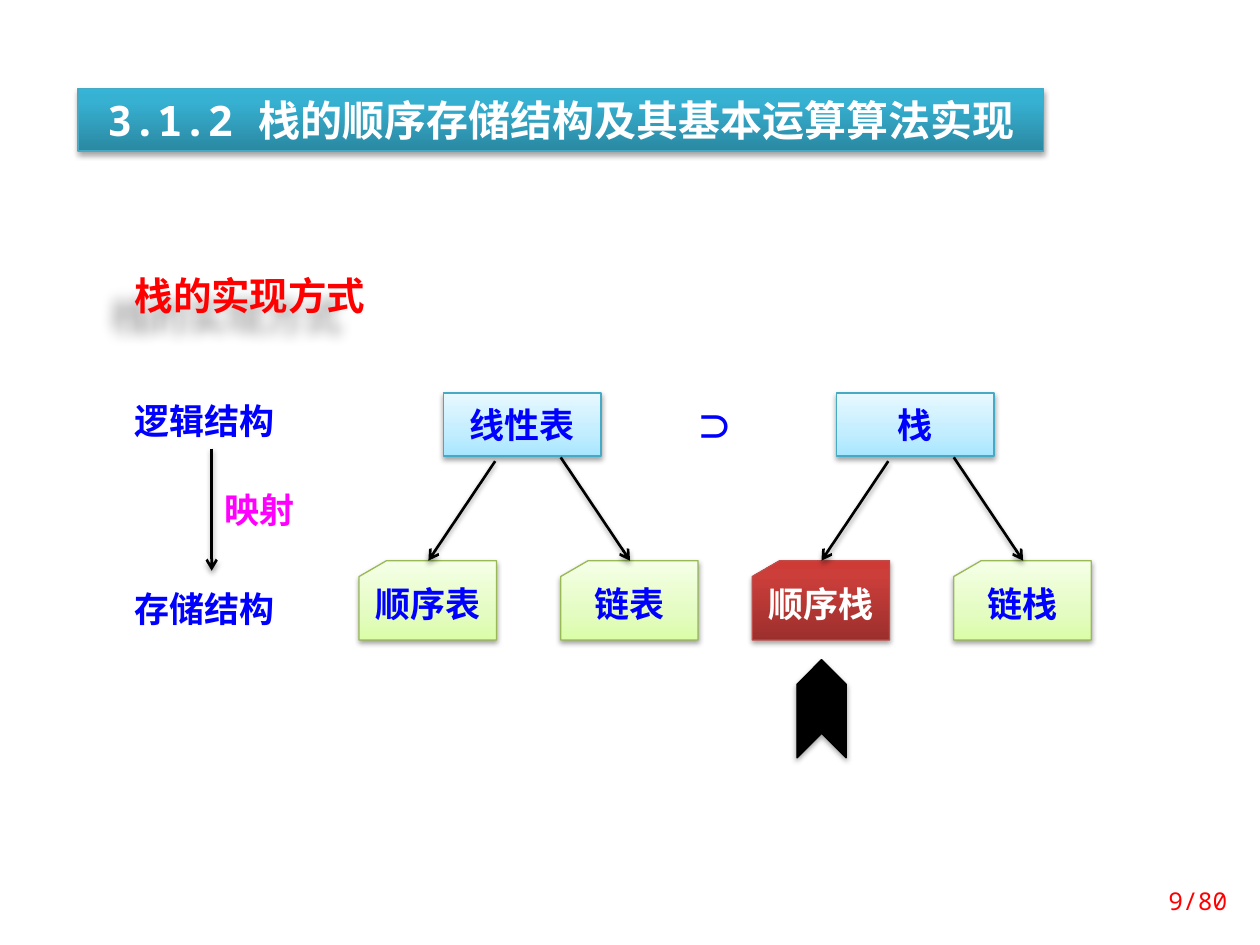
from lxml import etree
from pptx import Presentation
from pptx.dml.color import RGBColor
from pptx.enum import shapes, text
from pptx.oxml import parse_xml
from pptx.oxml.ns import nsdecls, qn
from pptx.util import Inches, Pt

SANS, MONO = "Noto Sans CJK SC", "Noto Sans Mono"
BLACK = RGBColor(0, 0, 0)
WHITE = RGBColor(255, 255, 255)
RED = RGBColor(255, 0, 0)
BLUE = RGBColor(0, 0, 255)
PINK = RGBColor(255, 0, 255)
# Each style: gradient stops from bottom to top, and line colour
SKY = [(0, "A7E6FF"), (35, "C1EDFF"), (100, "E7F8FF")], RGBColor(0x46, 0xAA, 0xC5)
LIME = [(0, "DAFDA7"), (35, "E4FCC2"), (100, "F5FFE7")], RGBColor(0x98, 0xB9, 0x55)
BRICK = [(0, "9C2F2D"), (80, "CB3E3A"), (100, "CE3B37")], RGBColor(0xBF, 0x4C, 0x48)
TEAL = [(0, "2A88A2"), (80, "37B1D2"), (100, "34B4D6")], RGBColor(0x46, 0xAA, 0xC5)
RECT = shapes.MSO_SHAPE.RECTANGLE
CARD = shapes.MSO_SHAPE.FLOWCHART_CARD
LEFT, MID, RIGHT = text.PP_ALIGN.LEFT, text.PP_ALIGN.CENTER, text.PP_ALIGN.RIGHT


def cast(shape, blur=3.1, dist=1.7, ang=90, alpha=37):
    """Give the shape an outer shadow; lengths in points, alpha in percent."""
    props = shape._element.spPr
    for old in props.findall(qn("a:effectLst")):
        props.remove(old)
    props.append(parse_xml(
        f'<a:effectLst {nsdecls("a")}><a:outerShdw blurRad="{Pt(blur)}" '
        f'dist="{Pt(dist)}" dir="{ang * 60000}" algn="ctr" rotWithShape="0">'
        f'<a:srgbClr val="000000"><a:alpha val="{alpha * 1000}"/></a:srgbClr>'
        '</a:outerShdw></a:effectLst>'))


def shade(shape, stops):
    """Fill the shape with a gradient that runs from bottom to top."""
    shape.fill.gradient()
    shape.fill.gradient_angle = 90
    gs = shape._element.spPr.find(qn("a:gradFill")).find(qn("a:gsLst"))
    for old in list(gs):
        gs.remove(old)
    for pos, hue in stops:
        stop = etree.SubElement(gs, qn("a:gs"), pos=str(pos * 1000))
        etree.SubElement(stop, qn("a:srgbClr"), val=hue)


def write(shape, words, size, hue, face=SANS, align=LEFT, bold=True):
    frame = shape.text_frame
    frame.word_wrap = True
    para = frame.paragraphs[0]
    para.text = words
    para.alignment = align
    font = para.font
    font.size, font.bold, font.name = Pt(size), bold, face
    font.color.rgb = hue
    latin = para._p.pPr.find(qn("a:defRPr")).find(qn("a:latin"))
    east = etree.Element(qn("a:ea"), typeface=SANS)
    latin.addnext(east)
    return para


def label(slide, x, y, w, h, words, size=20, hue=BLUE, **kw):
    box = slide.shapes.add_textbox(Inches(x), Inches(y), Inches(w), Inches(h))
    write(box, words, size, hue, **kw)
    return box


def block(slide, kind, x, y, w, h, style, words, size=20, hue=BLUE, face=SANS):
    shape = slide.shapes.add_shape(kind, Inches(x), Inches(y), Inches(w), Inches(h))
    stops, edge = style
    shade(shape, stops)
    shape.line.color.rgb = edge
    shape.line.width = Pt(0.75)
    cast(shape)
    frame = shape.text_frame
    frame.vertical_anchor = text.MSO_ANCHOR.MIDDLE
    if kind == CARD:
        frame.margin_bottom = Inches(0.12)
    write(shape, words, size, hue, face, MID)


def arrow(slide, x1, y1, x2, y2):
    line = slide.shapes.add_connector(
        shapes.MSO_CONNECTOR.STRAIGHT, Inches(x1), Inches(y1), Inches(x2), Inches(y2))
    line.line.color.rgb = BLACK
    line.line.width = Pt(1.5)
    etree.SubElement(line.line._get_or_add_ln(), qn("a:tailEnd"), type="arrow")
    cast(line)


def tree(slide, x, root, leaves):
    """Draw a logical structure over its two storage structures."""
    block(slide, RECT, x + 0.67, 3.12, 1.25, 0.5, SKY, root)
    for gap, (words, style, hue) in zip((0, 1.6), leaves):
        block(slide, CARD, x + gap, 4.45, 1.09, 0.63, style, words, hue=hue)
    arrow(slide, x + 1.08, 3.66, x + 0.55, 4.45)
    arrow(slide, x + 1.6, 3.63, x + 2.15, 4.45)


def mark(slide):
    """Point up at the structure of this section."""
    tip = slide.shapes.add_shape(shapes.MSO_SHAPE.CHEVRON, Inches(6.13),
                                 Inches(5.43), Inches(0.78), Inches(0.39))
    tip.rotation = 270
    tip.fill.solid()
    tip.fill.fore_color.rgb = BLACK
    tip.line.color.rgb = BLACK
    tip.line.width = Pt(0.75)
    cast(tip)


def main():
    deck = Presentation()
    deck.slide_width, deck.slide_height = Inches(10), Inches(7.5)
    slide = deck.slides.add_slide(deck.slide_layouts[6])

    block(slide, RECT, 0.62, 0.7, 7.66, 0.5, TEAL,
          "3.1.2 栈的顺序存储结构及其基本运算算法实现", 24, WHITE, MONO)
    head = label(slide, 0.97, 2.11, 2.19, 0.47, "栈的实现方式", 22, RED, face=MONO)
    cast(head, blur=8, dist=18, ang=140, alpha=35)

    tree(slide, 2.85, "线性表", [("顺序表", LIME, BLUE), ("链表", LIME, BLUE)])
    tree(slide, 5.97, "栈", [("顺序栈", BRICK, WHITE), ("链栈", LIME, BLUE)])
    subset = label(slide, 5.48, 3.13, 0.47, 0.52, "∩")
    subset.rotation = 90
    subset.text_frame.paragraphs[0].line_spacing = Pt(30)

    label(slide, 0.97, 3.12, 1.41, 0.44, "逻辑结构")
    label(slide, 0.97, 4.61, 1.41, 0.44, "存储结构")
    arrow(slide, 1.68, 3.56, 1.68, 4.53)
    label(slide, 1.68, 3.83, 0.86, 0.44, "映射", hue=PINK)
    mark(slide)

    page = label(slide, 8.86, 6.95, 0.98, 0.4, "9/80", 14, RED,
                 face=MONO, align=RIGHT, bold=False)
    page.text_frame.vertical_anchor = text.MSO_ANCHOR.MIDDLE
    deck.save("out.pptx")


if __name__ == "__main__":
    main()
